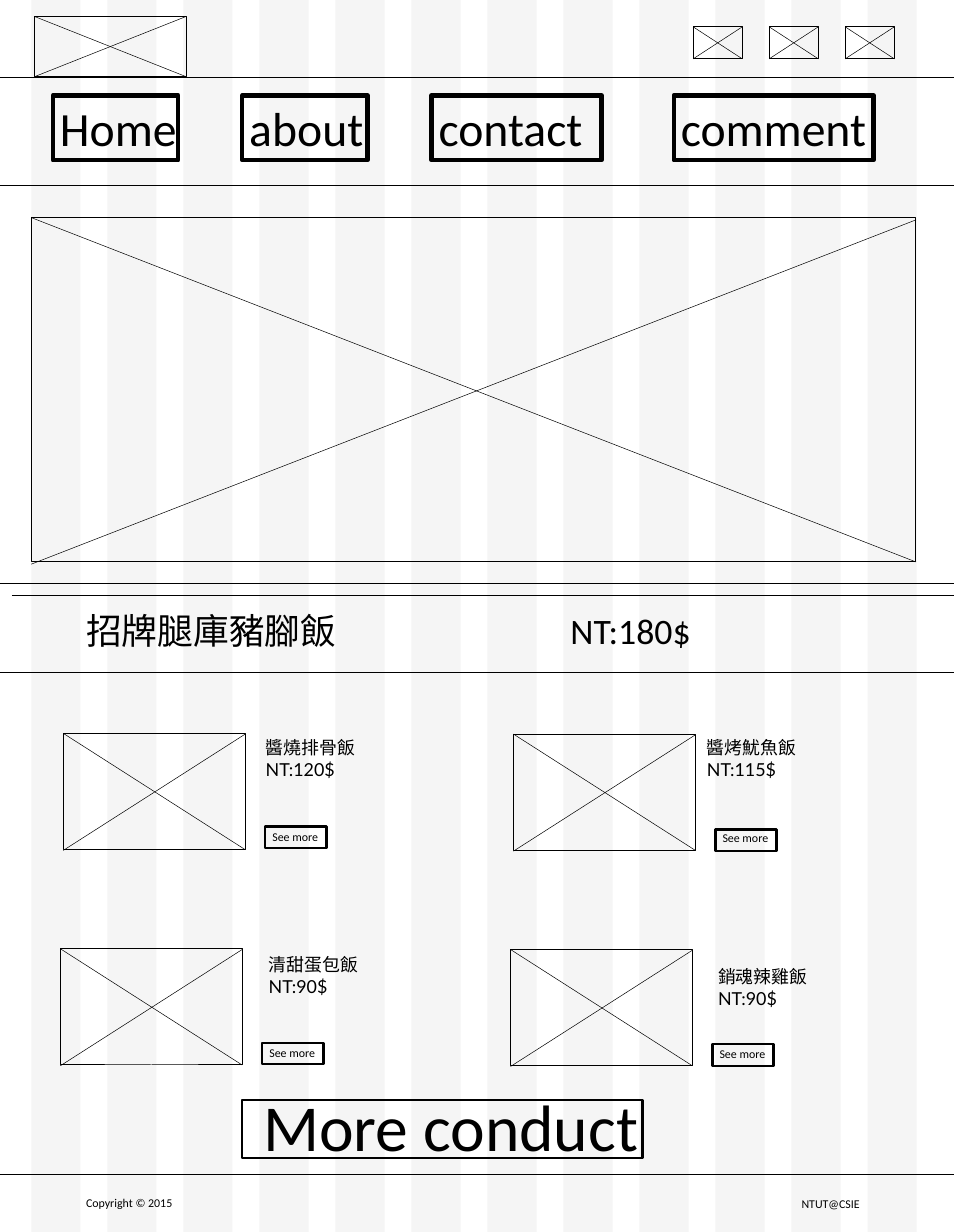
from lxml.etree import SubElement
from pptx import Presentation
from pptx.dml.color import RGBColor
from pptx.enum.shapes import MSO_CONNECTOR, MSO_SHAPE
from pptx.enum.text import MSO_ANCHOR, MSO_AUTO_SIZE
from pptx.oxml.ns import qn
from pptx.util import Emu, Pt

WIDTH, HEIGHT = 1280, 1653
EMU_PER_PX = 9525


def px(length):
    return Emu(length * EMU_PER_PX)


def color(value):
    return RGBColor.from_string(value)


class Wireframe:
    INK = "000000"
    FONT = "Calibri"
    CJK_FONT = "Noto Sans CJK KR"

    def __init__(self, slide):
        self.slide = slide

    def rectangle(self, left, top, width, height):
        shape = self.slide.shapes.add_shape(
            MSO_SHAPE.RECTANGLE, px(left), px(top), px(width), px(height))
        shape.shadow.inherit = False
        return shape

    def column(self, left, width, opacity):
        shape = self.rectangle(left, 0, width, HEIGHT)
        shape.line.fill.background()
        shape.fill.solid()
        shape.fill.fore_color.rgb = color(self.INK)
        fill_color = shape.fill._xPr.find(qn("a:solidFill"))[0]
        SubElement(fill_color, qn("a:alpha"), val=str(opacity * 1000))

    def frame(self, left, top, width, height, weight=1):
        shape = self.rectangle(left, top, width, height)
        shape.fill.background()
        shape.line.color.rgb = color(self.INK)
        shape.line.width = Pt(weight)

    def line(self, x1, y1, x2, y2):
        connector = self.slide.shapes.add_connector(
            MSO_CONNECTOR.STRAIGHT, px(x1), px(y1), px(x2), px(y2))
        connector.line.color.rgb = color(self.INK)
        connector.line.width = Pt(0.5)
        SubElement(connector._element.spPr, qn("a:effectLst"))

    def image_box(self, left, top, width, height, drop=0):
        """A frame with both diagonals; drop lowers the rising one."""
        right, bottom = left + width, top + height
        self.frame(left, top, width, height)
        self.line(left, top, right, bottom)
        self.line(right, top + drop, left, bottom + drop)

    def text(self, left, top, width, height, lines, size, font=FONT, wrap=True):
        shape = self.slide.shapes.add_textbox(
            px(left), px(top), px(width), px(height))
        text_frame = shape.text_frame
        text_frame.word_wrap = wrap
        text_frame.auto_size = MSO_AUTO_SIZE.SHAPE_TO_FIT_TEXT
        text_frame.vertical_anchor = MSO_ANCHOR.TOP
        for index, line in enumerate(lines):
            paragraph = text_frame.add_paragraph() if index else text_frame.paragraphs[0]
            run = paragraph.add_run()
            run.text = line
            run.font.size = Pt(size)
            run.font.name = font
            run.font.color.rgb = color(self.INK)
            SubElement(run.font._element, qn("a:ea"), typeface=self.CJK_FONT)


def main():
    presentation = Presentation()
    presentation.slide_width, presentation.slide_height = px(WIDTH), px(HEIGHT)
    page = Wireframe(presentation.slides.add_slide(presentation.slide_layouts[6]))

    # Twelve-column grid
    pitch, column_width = 102, 66
    for index in range(12):
        page.column(42 + index * pitch, column_width, opacity=4)

    # Section rules
    for y in (103, 248, 782, 902, 1576):
        page.line(0, y, WIDTH, y)
    page.line(16, 799, WIDTH, 799)

    # Header: logo area and three icons
    page.image_box(46, 22, 204, 81)
    for index in range(3):
        page.image_box(930 + index * pitch, 36, column_width, 43)

    # Navigation buttons
    for label, left, width, text_width in (
        ("Home", 71, 168, 204),
        ("about", 325, 168, 204),
        ("contact", 579, 228, 276),
        ("comment", 904, 268, 324),
    ):
        page.text(left, 128, text_width, 87, [label], 48)
        page.frame(left, 128, width, 87, 4.5)

    # Hero image and featured dish
    page.image_box(42, 292, 1187, 462, drop=3)
    page.text(106, 812, 476, 68, ["招牌腿庫豬腳飯"], 36, page.CJK_FONT)
    page.text(756, 812, 305, 68, ["NT:180$"], 36)

    # Dishes: image corner, label box, label lines, gap from button text to its frame
    for left, top, label_left, label_top, label_width, lines, gap in (
        (85, 984, 347, 984, 235, ["醬燒排骨飯", "NT:120$"], 0),
        (689, 985, 939, 984, 195, ["醬烤魷魚飯", "NT:115$"], 3),
        (81, 1273, 351, 1275, 177, ["清甜蛋包飯", "NT:90$"], 1),
        (685, 1274, 954, 1291, 177, ["銷魂辣雞飯NT:90$"], 2),
    ):
        page.image_box(left, top, 244, 156, drop=1)
        page.text(label_left, label_top, label_width, 68, lines, 18, "Lato")
        button_left, button_top = left + 271, top + 125
        page.text(button_left, button_top, 82, 29, ["See more"], 12, wrap=False)
        page.frame(button_left, button_top + gap, 82, 29, 2.25)

    # More button
    page.text(344, 1452, 592, 116, ["More conduct"], 66)
    page.frame(325, 1476, 537, 78, 2.25)

    # Footer
    page.text(106, 1600, 136, 29, ["Copyright © 2015"], 12, wrap=False)
    page.text(1066, 1601, 99, 29, ["NTUT@CSIE"], 12, wrap=False)

    presentation.save("out.pptx")


if __name__ == "__main__":
    main()
